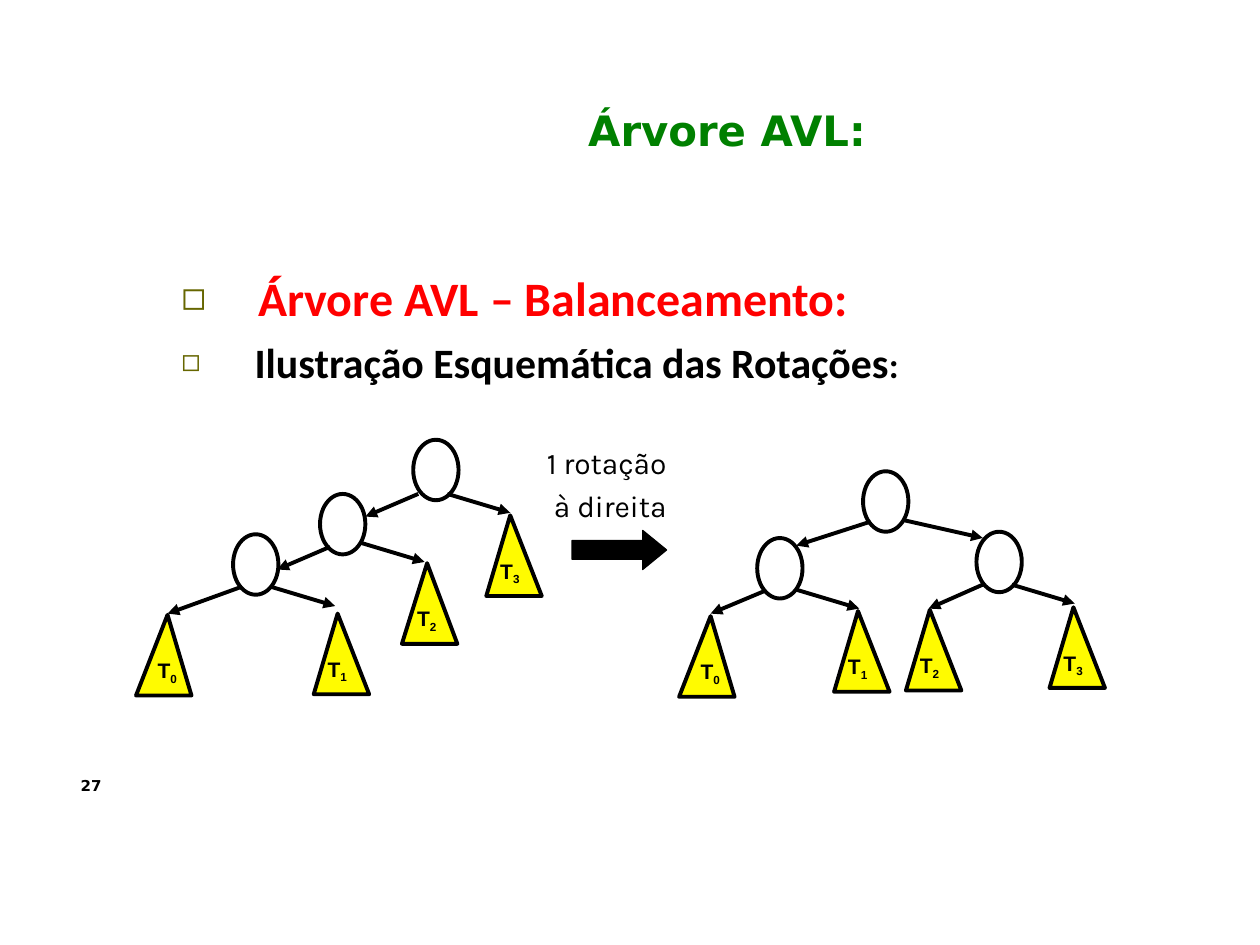
import pptx
import pptx.dml.color
import pptx.enum.shapes
import pptx.enum.text
import pptx.oxml
import pptx.oxml.ns
import pptx.util
from pptx.util import Inches

RGBColor = pptx.dml.color.RGBColor
BLACK = RGBColor(0x00, 0x00, 0x00)
RED = RGBColor(0xFF, 0x00, 0x00)
GREEN = RGBColor(0x00, 0x80, 0x00)
YELLOW = RGBColor(0xFF, 0xFB, 0x00)
OLIVE = RGBColor(0x66, 0x66, 0x00)

Shape = pptx.enum.shapes.MSO_SHAPE
Align = pptx.enum.text.PP_ALIGN


class TreeSlide:
    """Holds the slide and its style, and draws each kind of element on it."""

    node_size = (0.36, 0.48)
    subtree_size = (0.44, 0.64)
    outline = 2.25

    def __init__(self, deck):
        self.slide = deck.slides.add_slide(deck.slide_layouts[1])

    def place(self, shape, left, top, width, height):
        shape.left, shape.top = Inches(left), Inches(top)
        shape.width, shape.height = Inches(width), Inches(height)

    def frame(self, shape, left=0, top=0):
        frame = shape.text_frame
        frame.margin_left, frame.margin_top = Inches(left), Inches(top)
        frame.margin_right = frame.margin_bottom = 0
        frame.word_wrap = True
        frame.auto_size = pptx.enum.text.MSO_AUTO_SIZE.NONE
        frame.vertical_anchor = pptx.enum.text.MSO_ANCHOR.TOP
        return frame

    def style(self, run, font, size, color=BLACK, bold=True):
        run.font.name, run.font.size = font, pptx.util.Pt(size)
        run.font.color.rgb, run.font.bold = color, bold

    def add_xml(self, parent, tag, **attributes):
        child = pptx.oxml.parse_xml(f"<a:{tag} {pptx.oxml.ns.nsdecls('a')}/>")
        for name, value in attributes.items():
            child.set(name, value)
        parent.append(child)
        return child

    def stroke(self, shape, width):
        shape.line.color.rgb = BLACK
        shape.line.width = pptx.util.Pt(width)
        line = shape.element.spPr.find(pptx.oxml.ns.qn("a:ln"))
        self.add_xml(line, "round")
        return line

    def title(self, text):
        heading = self.slide.shapes.title
        self.place(heading, 1.5, 0.65, 5.55, 0.59)
        frame = self.frame(heading, left=2.99, top=0.18)
        frame.text = text
        frame.paragraphs[0].alignment = Align.CENTER
        self.style(frame.paragraphs[0].runs[0], "DejaVu Sans", 23.9, GREEN)

    def bullets(self, items):
        body = self.slide.placeholders[1]
        self.place(body, 1.44, 2.13, 7.01, 0.95)
        frame = self.frame(body)
        for index, (indent, bullet_size, space, pieces) in enumerate(items):
            item = frame.add_paragraph() if index else frame.paragraphs[0]
            item.space_before = pptx.util.Pt(space)
            props = item._p.get_or_add_pPr()
            props.set("marL", str(Inches(indent)))
            props.set("indent", str(-Inches(indent)))
            bullet_color = self.add_xml(props, "buClr")
            self.add_xml(bullet_color, "srgbClr", val=str(OLIVE))
            self.add_xml(props, "buSzPct", val=str(bullet_size * 1000))
            self.add_xml(props, "buFont", typeface="Arial")
            self.add_xml(props, "buChar", char="◻")
            for text, size, color in pieces:
                run = item.add_run()
                run.text = text
                self.style(run, "Calibri", size, color)

    def text(self, text, box, font, size, bold=True, align=Align.LEFT, spacing=1.0):
        frame = self.frame(self.slide.shapes.add_textbox(*map(Inches, box)))
        frame.text = text
        for paragraph in frame.paragraphs:
            paragraph.alignment, paragraph.line_spacing = align, spacing
            self.style(paragraph.runs[0], font, size, bold=bold)
        return frame

    def shape(self, kind, box, fill=None, width=outline):
        shape = self.slide.shapes.add_shape(kind, *map(Inches, box))
        shape.shadow.inherit = False
        if fill is None:
            shape.fill.background()
        else:
            shape.fill.solid()
            shape.fill.fore_color.rgb = fill
        self.stroke(shape, width)
        return shape

    def node(self, left, top):
        self.shape(Shape.OVAL, (left, top, *self.node_size))

    def subtree(self, number, left, top, apex):
        width = self.subtree_size[0]
        triangle = self.shape(Shape.ISOSCELES_TRIANGLE, (left, top, *self.subtree_size), YELLOW)
        triangle.adjustments[0] = apex / width
        label = self.text("T", (left + apex - 0.08, top + 0.34, 0.25, 0.2), "Arial", 12)
        subscript = label.paragraphs[0].add_run()
        subscript.text = str(number)
        self.style(subscript, "Arial", 11.5)
        subscript._r.get_or_add_rPr().set("baseline", "-22000")

    def branch(self, *ends):
        straight = pptx.enum.shapes.MSO_CONNECTOR.STRAIGHT
        branch = self.slide.shapes.add_connector(straight, *map(Inches, ends))
        line = self.stroke(branch, self.outline)
        self.add_xml(line, "tailEnd", type="triangle")
        self.add_xml(branch.element.spPr, "effectLst")

    def tree(self, nodes, subtrees, branches):
        for node in nodes:
            self.node(*node)
        for subtree in subtrees:
            self.subtree(*subtree)
        for branch in branches:
            self.branch(*branch)

    def rotation(self, box):
        arrow = self.shape(Shape.RIGHT_ARROW, box, BLACK, 0.75)
        arrow.adjustments[0], arrow.adjustments[1] = 0.48, 0.61


def main():
    deck = pptx.Presentation()
    deck.slide_width, deck.slide_height = Inches(10), Inches(7.5)
    page = TreeSlide(deck)
    page.title("Árvore AVL:")
    page.bullets([
        (0.61, 84, 0, [("Árvore AVL – Balanceamento:", 27.4, RED)]),
        (0.58, 75, 6.2, [("Ilustração Esquemática das Rotações", 23.9, BLACK),
                         (":", 20.5, BLACK)]),
    ])
    page.tree(
        nodes=[(1.85, 4.24), (2.54, 3.92), (3.28, 3.49)],
        subtrees=[(0, 1.08, 4.88, 0.25), (1, 2.49, 4.87, 0.19),
                  (2, 3.19, 4.47, 0.2), (3, 3.86, 4.09, 0.19)],
        branches=[(1.91, 4.66, 1.33, 4.87), (2.16, 4.66, 2.66, 4.81),
                  (2.62, 4.34, 2.2, 4.52), (2.87, 4.31, 3.37, 4.46),
                  (3.32, 3.92, 2.9, 4.1), (3.55, 3.92, 4.05, 4.07)],
    )
    page.tree(
        nodes=[(6.01, 4.27), (6.85, 3.74), (7.75, 4.22)],
        subtrees=[(0, 5.39, 4.89, 0.25), (1, 6.62, 4.85, 0.19),
                  (2, 7.19, 4.84, 0.19), (3, 8.33, 4.82, 0.19)],
        branches=[(6.07, 4.69, 5.64, 4.87), (6.32, 4.68, 6.82, 4.83),
                  (6.91, 4.14, 6.32, 4.33), (7.18, 4.13, 7.8, 4.27),
                  (7.8, 4.64, 7.37, 4.83), (8.03, 4.64, 8.53, 4.79)],
    )
    page.rotation((4.54, 4.21, 0.75, 0.31))
    page.text("1 rotação\nà direita", (4.19, 3.47, 1.1, 0.7), "Karla", 17.1,
              bold=False, align=Align.RIGHT, spacing=1.2)
    page.text("27", (0.64, 6.17, 0.26, 0.14), "DejaVu Sans", 8.6, spacing=pptx.util.Pt(9.6))
    deck.save("out.pptx")


if __name__ == "__main__":
    main()
